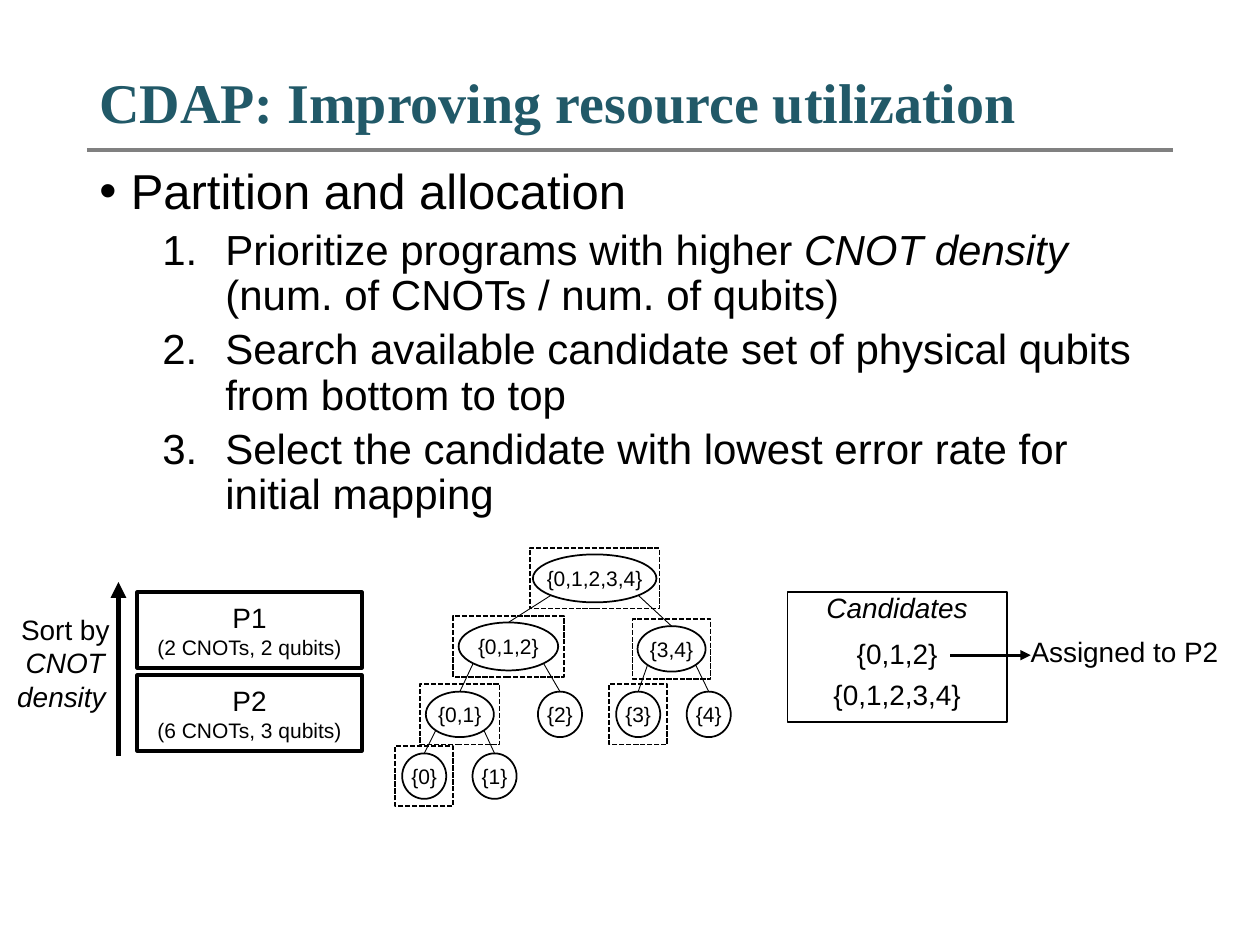
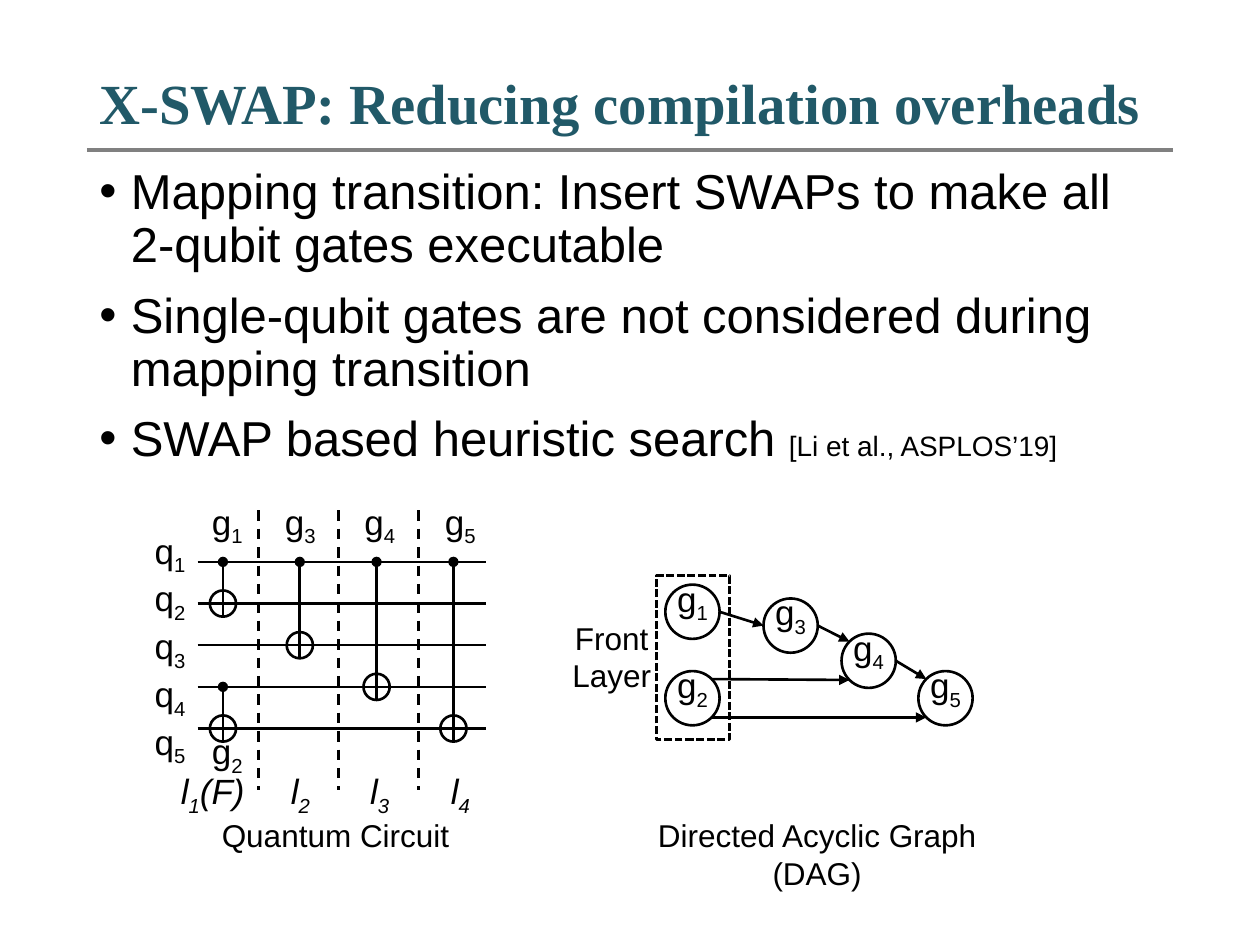
from dataclasses import dataclass
from math import cos, radians, sin

from lxml.etree import SubElement as Sub
from pptx import Presentation
from pptx.dml.color import RGBColor as Rgb
from pptx.enum.dml import MSO_LINE as Dash
from pptx.enum.shapes import MSO_CONNECTOR as Link, MSO_SHAPE as Kind
from pptx.enum.text import MSO_ANCHOR as Anchor, PP_ALIGN as Align
from pptx.oxml.ns import qn
from pptx.util import Pt


@dataclass(frozen=True)
class Theme:
    ink: Rgb = Rgb(0, 0, 0)
    paper: Rgb = Rgb(255, 255, 255)
    teal: Rgb = Rgb(0x21, 0x59, 0x68)
    gray: Rgb = Rgb(0x80, 0x80, 0x80)
    serif: str = "Times New Roman"
    sans: str = "Arial"
    lead: int = 28
    item: int = 24
    gate: int = 20
    cap: int = 18
    note: int = 16
    node: int = 12


T = Theme()
MID = {"alignment": Align.CENTER}
BARE = {"margin_left": 0, "margin_right": 0, "margin_top": 0,
        "margin_bottom": 0, "vertical_anchor": Anchor.MIDDLE}
SLANT = {"italic": True}
LEFT, WIDE = 49.7, 620.6


# Shared helpers

def put(obj, vals):
    for key, val in vals.items():
        setattr(obj, key, val)


def write(frame, paras, size, form=MID, color=T.ink, font=T.sans):
    """Each paragraph is a string or a list of (text, format) runs."""
    for i, runs in enumerate(paras):
        para = frame.paragraphs[0] if i == 0 else frame.add_paragraph()
        put(para, form)
        for text, vals in [(runs, {})] if isinstance(runs, str) else runs:
            run = para.add_run()
            run.text = text
            vals = dict(vals)
            low = vals.pop("low", False)
            put(run.font, {"size": Pt(size), "name": font, **vals})
            run.font.color.rgb = color
            if low:
                run.font._element.set("baseline", "-25000")


def low(name, num, **vals):
    return [(name, vals), (str(num), {**vals, "low": True})]


def label(sl, box, paras, size, wrap=True, form=MID, **look):
    frame = sl.shapes.add_textbox(*map(Pt, box)).text_frame
    frame.word_wrap = wrap
    write(frame, paras, size, form, **look)
    return frame


def shape(sl, kind, box, width=1, fill=None, dash=None):
    item = sl.shapes.add_shape(kind, *map(Pt, box))
    item.shadow.inherit = False
    if fill is None:
        item.fill.background()
    else:
        item.fill.solid()
        item.fill.fore_color.rgb = fill
    item.line.color.rgb = T.ink
    put(item.line, {"width": Pt(width), "dash_style": dash})
    return item


def line(sl, start, end, width=1.5, color=T.ink, dash=None, head=None, tail=None):
    item = sl.shapes.add_connector(Link.STRAIGHT, *map(Pt, (*start, *end)))
    item.line.color.rgb = color
    put(item.line, {"width": Pt(width), "dash_style": dash})
    props = item._element.spPr
    for tag, end_type in (("a:headEnd", head), ("a:tailEnd", tail)):
        if end_type:
            Sub(props.find(qn("a:ln")), qn(tag), type=end_type)
    Sub(props, qn("a:effectLst"))


def around(cx, cy, w, h):
    return cx - w / 2, cy - h / 2, w, h


def rim(oval, angle):
    """Point of an oval (cx, cy, w, h), clockwise from its right end."""
    cx, cy, w, h = oval
    return (cx + w / 2 * cos(radians(angle)), cy + h / 2 * sin(radians(angle)))


def title(sl, text, size):
    line(sl, (LEFT, 85.7), (LEFT + WIDE, 85.7), 2.25, T.gray)
    frame = label(sl, (LEFT, 35.3, WIDE, 50.4), [[(text, {"bold": True})]], size,
                  form={"line_spacing": 0.9}, color=T.teal, font=T.serif)
    frame.vertical_anchor = Anchor.MIDDLE


def body(sl, points):
    """Points are (numbered, runs)."""
    frame = label(sl, (LEFT, 92.2, WIDE, 394.6), [], T.lead)
    for i, (numbered, runs) in enumerate(points):
        para = frame.paragraphs[0] if i == 0 else frame.add_paragraph()
        gap = 0 if i == 0 else 5 if numbered else 10
        put(para, {"line_spacing": 0.9, "space_before": Pt(gap),
                   "level": int(numbered)})
        props = para._p.get_or_add_pPr()
        margin, hang = (72, 36) if numbered else (18, 18)
        props.set("marL", str(Pt(margin)))
        props.set("indent", str(-Pt(hang)))
        Sub(props, qn("a:buFont"), typeface=T.sans)
        if numbered:
            Sub(props, qn("a:buAutoNum"), type="arabicPeriod")
        else:
            Sub(props, qn("a:buChar"), char="•")
        for text, vals in runs:
            run = para.add_run()
            run.text = text
            put(run.font, {"size": Pt(T.item if numbered else T.lead),
                           "name": T.sans, **vals})
            run.font.color.rgb = T.ink


# Slide 1 regions

def ranking(sl, x, y):
    # Sort direction
    line(sl, (x + 65.7, y + 100), (x + 65.7, y + 0.6), 3, tail="triangle")
    label(sl, (x, y + 14.3, 70.6, 65.5),
          ["Sort by", [("CNOT", SLANT)], [("density ", SLANT)]], T.note, wrap=False)
    # Programs
    for i, (name, size) in enumerate((("P1", "(2 CNOTs, 2 qubits)"),
                                      ("P2", "(6 CNOTs, 3 qubits)"))):
        card = shape(sl, Kind.RECTANGLE, (x + 76.5, y + 6.4 + 47.5 * i, 128.2, 43.2),
                     2.25, T.paper)
        card.text_frame.vertical_anchor = Anchor.MIDDLE
        write(card.text_frame, [name, [(size, {"size": Pt(T.node)})]], T.note)


def tree(sl, x, y):
    # Label: centre, width, height, width of dashed frame
    nodes = {
        "{0}": (16.4, 131.5, 25.2, 26, 33),
        "{1}": (56.6, 131.5, 25.2, 26, 0),
        "{2}": (94, 96.2, 25.2, 26, 0),
        "{3}": (138.7, 96.2, 25.2, 26, 33),
        "{4}": (179, 96.2, 25.2, 26, 0),
        "{0,1}": (36.8, 96.2, 38.9, 26, 45.4),
        "{0,1,2}": (64.5, 57.4, 56.9, 27.4, 63.4),
        "{3,4}": (157.8, 58.8, 38.9, 26, 44.6),
        "{0,1,2,3,4}": (113.8, 18.5, 70.6, 27.4, 74.2),
    }
    forks = {"{0,1}": ("{0}", "{1}"), "{0,1,2}": ("{0,1}", "{2}"),
             "{3,4}": ("{3}", "{4}"), "{0,1,2,3,4}": ("{0,1,2}", "{3,4}")}
    ovals = {}
    for name, (cx, cy, w, h, edge) in nodes.items():
        ovals[name] = oval = (x + cx, y + cy, w, h)
        item = shape(sl, Kind.OVAL, around(*oval))
        put(item.text_frame, {**BARE, "word_wrap": False})
        write(item.text_frame, [name], T.node)
        if edge:
            shape(sl, Kind.RECTANGLE, around(x + cx, y + cy, edge, 34.6),
                  dash=Dash.SQUARE_DOT)
    for top, kids in forks.items():
        for kid, angle in zip(kids, (135, 45)):
            line(sl, rim(ovals[top], angle), rim(ovals[kid], -90), 0.5)


def choices(sl, x, y, w, h):
    shape(sl, Kind.RECTANGLE, (x, y, w, h), fill=T.paper)
    for top, text, vals in ((-4.3, "Candidates", SLANT), (21.6, "{0,1,2}", {}),
                            (45.4, "{0,1,2,3,4}", {})):
        label(sl, (x, y + top, w, 26.6), [[(text, vals)]], T.note)
    # Chosen set
    label(sl, (x + w + 5.7, y + 20.9, 123.1, 26.6), ["Assigned to P2"], T.note,
          wrap=False)
    line(sl, (x + 92.9, y + 36), (x + w + 13.7, y + 36), tail="triangle")


# Slide 2 regions

def circuit(sl, x, y):
    """x, y is the left end of the first wire."""
    gap, step, size, end = 23.8, 43.9, 15, 164.9
    mids = (16.9, 58.7, 104, 150.1)
    # Wires
    label(sl, (x - 31.7, y - 22.3, 33.1, 128.2),
          [low("q", i) for i in range(1, 6)], T.gate, wrap=False, form={})
    for i in range(5):
        line(sl, (x, y + gap * i), (x + end, y + gap * i))
    # Gates: number, layer, control wire, target wire
    for num, col, ctrl, goal in ((1, 0, 0, 1), (2, 0, 3, 4), (3, 1, 0, 2),
                                 (4, 2, 0, 3), (5, 3, 0, 4)):
        cx, cy = x + 14.4 + step * col, y + gap * goal
        line(sl, (cx, y + gap * ctrl), (cx, cy + size / 2), head="oval")
        shape(sl, Kind.OVAL, around(cx, cy, size, size), 1.5)
        top = y - 38.9 if ctrl == 0 else y + 92.2
        label(sl, (x + mids[col] - 25.6, top, 51.1, 31.7), [low("g", num)], T.gate)
    # Layers
    for i in range(3):
        lx = x + 34.6 + 45.7 * i
        line(sl, (lx, y - 29.5), (lx, y + 130.3), dash=Dash.DASH)
    for i, mid in enumerate(mids):
        runs = low("l", i + 1, **SLANT)
        if i == 0:
            runs.append(("(F)", SLANT))
            mid -= 8.3
        label(sl, (x + mid - 33, y + 115.2, 66, 31.7), [runs], T.gate)
    label(sl, (x - 24.5, y + 141.9, 206.6, 28.8), ["Quantum Circuit"], T.cap)


def graph(sl, x, y):
    """x, y is the corner of the front layer's frame."""
    size = 31
    spots = {1: (20.6, 20.6), 2: (20.6, 70), 3: (76.7, 28.5),
             4: (121.3, 48.6), 5: (165.2, 70)}
    ovals = {num: (x + cx, y + cy, size, size) for num, (cx, cy) in spots.items()}
    for num, oval in ovals.items():
        frame = shape(sl, Kind.OVAL, around(*oval), 1.5).text_frame
        put(frame, {**BARE, "word_wrap": True})
        write(frame, [low("g", num)], T.gate, {**MID, "line_spacing": Pt(15)})
    # Arrows: start gate and angle, end gate and angle
    for start, out, end, into in ((1, 0, 3, 180), (3, 0, 4, 225), (4, 0, 5, 225),
                                  (2, -45, 4, 135), (2, 45, 5, 135)):
        line(sl, rim(ovals[start], out), rim(ovals[end], into), tail="triangle")
    # Front layer
    shape(sl, Kind.RECTANGLE, (x, y, 41.8, 93.6), 1.5, dash=Dash.SQUARE_DOT)
    label(sl, (x - 61.2, y + 20.9, 71.3, 51.1), ["Front Layer"], T.cap)
    label(sl, (x - 33.8, y + 133.9, 251.3, 28.8), ["Directed Acyclic Graph (DAG)"],
          T.cap)


# Slides

def cdap(sl):
    title(sl, "CDAP: Improving resource utilization", 32)
    body(sl, [
        (False, [("Partition and allocation", {})]),
        (True, [("Prioritize programs with higher ", {}), ("CNOT density ", SLANT),
                ("(num. of CNOTs / num. of qubits)", {})]),
        (True, [("Search available candidate set of physical qubits "
                 "from bottom to top", {})]),
        (True, [("Select the candidate with lowest error rate for "
                 "initial mapping", {})]),
    ])
    ranking(sl, 2, 332)
    tree(sl, 226, 312)
    choices(sl, 450, 338.4, 125.3, 74.2)


def xswap(sl):
    title(sl, "X-SWAP: Reducing compilation overheads", 32.4)
    body(sl, [
        (False, [("Mapping transition: Insert SWAPs to make all "
                  "2-qubit gates executable", {})]),
        (False, [("Single-qubit gates are not considered during "
                  "mapping transition", {})]),
        (False, [("SWAP based heuristic search ", {}),
                 ("[Li et al., ASPLOS’19]", {"size": Pt(T.note)})]),
    ])
    circuit(sl, 113, 321.1)
    graph(sl, 375.1, 329)


def main():
    deck = Presentation()
    put(deck, {"slide_width": Pt(720), "slide_height": Pt(540)})
    for build in (cdap, xswap):
        build(deck.slides.add_slide(deck.slide_layouts[6]))
    deck.save("out.pptx")


if __name__ == "__main__":
    main()
